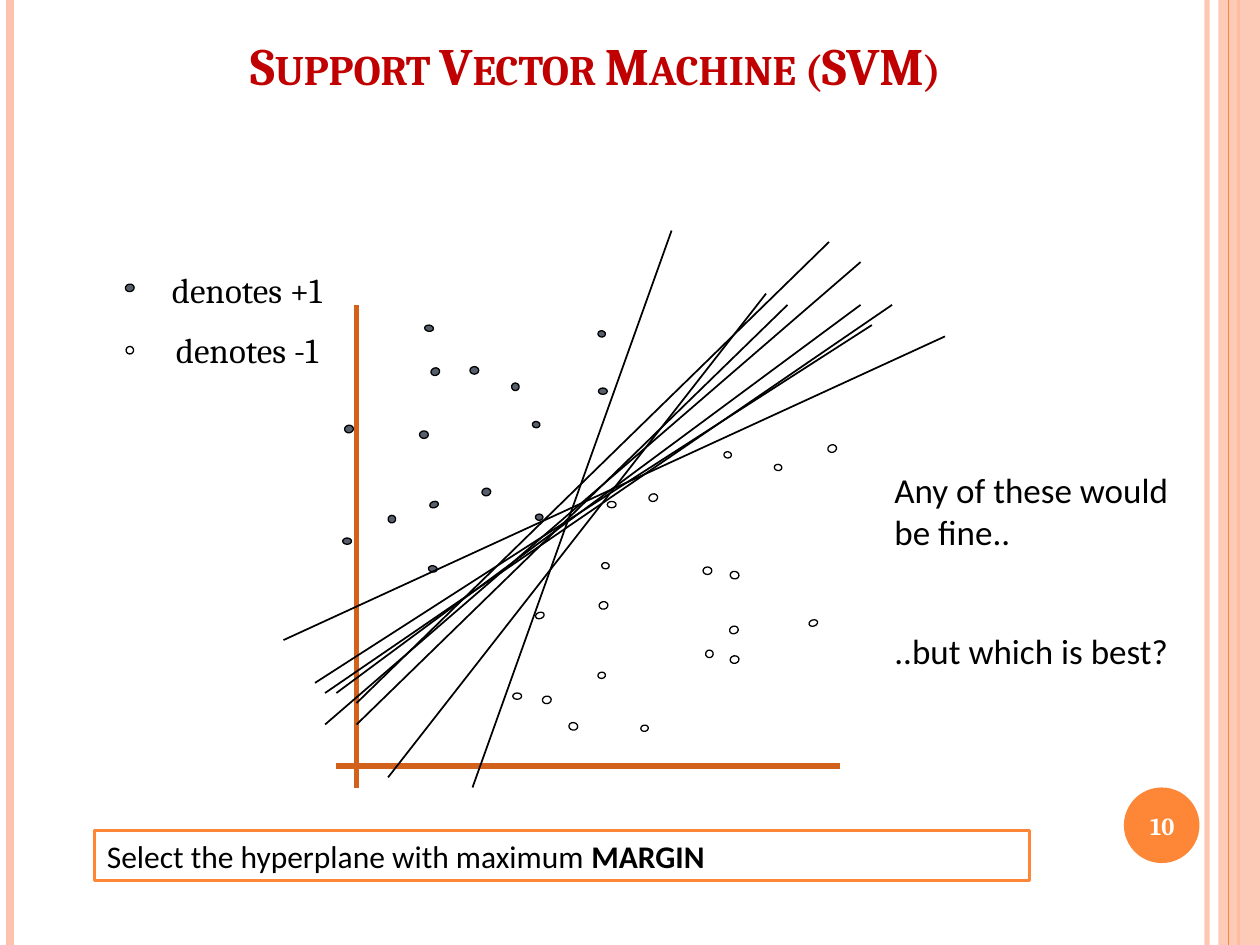
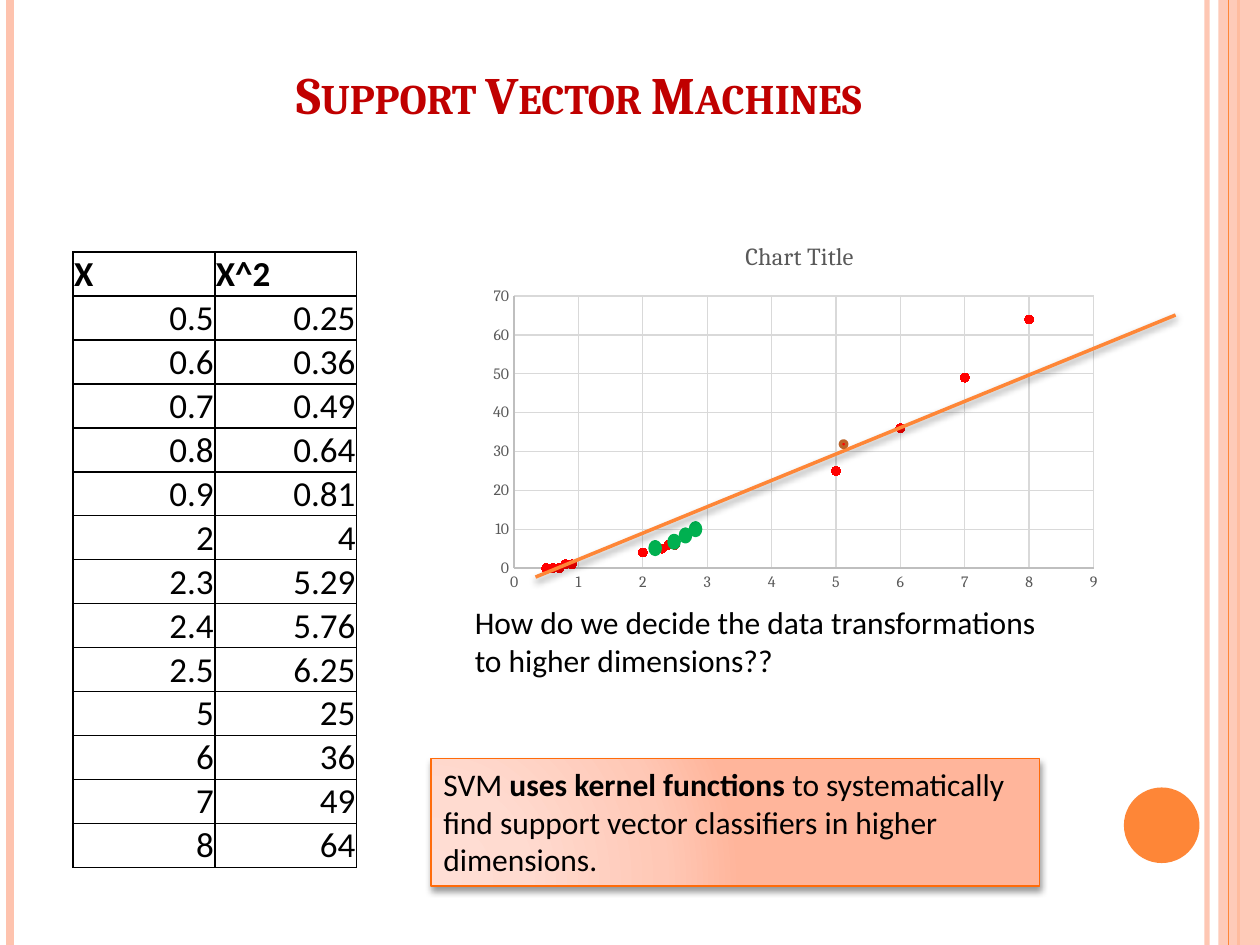
from dataclasses import dataclass, field
from typing import Any, NamedTuple, Optional

from lxml import etree
from pptx import Presentation, util as u
from pptx.chart.data import XyChartData
from pptx.dml.color import RGBColor
from pptx.enum import chart as charts, shapes, text
from pptx.oxml import parse_xml
from pptx.oxml.ns import nsdecls, qn

# Shared colours and fonts
ORANGE, PEACH, RUST, DEEP_RED = "FE8637", "FEC3AE", "D2611C", "C00000"
BLACK, WHITE, SLATE, GREEN, RED = "000000", "FFFFFF", "575F6D", "00B050", "FF0000"
GREY_TEXT, GREY_AXIS, GREY_GRID = "595959", "BFBFBF", "D9D9D9"
SERIF, SANS = "Cambria", "Calibri"
CENTER, RIGHT = text.PP_ALIGN.CENTER, text.PP_ALIGN.RIGHT
TITLE_FONT = {"name": SERIF, "size": 30, "bold": True, "color": DEEP_RED}
BODY_FONT = {"name": SANS, "size": 18, "color": BLACK}
NOTE_FONT = {**BODY_FONT, "size": 20}


class Box(NamedTuple):
    left: float
    top: float
    width: float
    height: float


@dataclass
class Line:
    start: tuple[float, float]
    end: tuple[float, float]
    color: str = BLACK
    width: float = 1
    opacity: Optional[int] = None
    shadow: bool = False


@dataclass
class Paragraph:
    runs: list[tuple[str, bool]]
    format: dict[str, Any] = field(default_factory=dict)


class DotGroup(NamedTuple):
    tilt: float
    size: tuple[float, float]
    positive: list[tuple[float, float]]
    negative: list[tuple[float, float]]


FRAME_BACK = [
    Line((9.58, 0), (9.58, 7.5), PEACH, 3, 93),
    Line((0.08, 0), (0.08, 7.5), PEACH, 4.5),
    Line((9.83, 0), (9.83, 7.5), ORANGE, 1.5),
]
FRAME_FRONT = Line((9.75, 0), (9.75, 7.5), ORANGE, 0.75)

# Points of the two classes and their legend marks, by tilt and size
DOT_GROUPS = [
    DotGroup(79.6, (0.06, 0.07), [(1, 2.25), (3.83, 3.87), (2.74, 3.37)],
             [(4.76, 4.77), (4.31, 5.52), (5.8, 5.2)]),
    DotGroup(79.6, (0.06, 0.06), [(3.08, 4.09), (4.06, 3.04)], []),
    DotGroup(79.6, (0.05, 0.06), [], [(5.09, 5.75), (4.75, 5.33)]),
    DotGroup(98.3, (0.05, 0.06), [(4.23, 3.34), (4.75, 2.62)],
             [(4.78, 4.46), (6.15, 3.68), (5.75, 3.58)]),
    DotGroup(98.3, (0.05, 0.07), [(3.41, 4.48), (3.38, 2.57)], []),
    DotGroup(98.3, (0.06, 0.07), [], [(4.52, 5.73), (5.8, 4.53)]),
    DotGroup(98.3, (0.06, 0.06), [], [(1, 2.75), (5.6, 5.16)]),
    DotGroup(0, (0.07, 0.05), [(2.72, 4.27), (4.75, 3.08)], [(4.07, 5.5), (4.82, 3.98)]),
    DotGroup(0, (0.07, 0.06), [(3.73, 2.91), (3.33, 3.42)], [(5.58, 4.5)]),
    DotGroup(0, (0.06, 0.05), [(4.25, 4.08)], []),
    DotGroup(341.4, (0.07, 0.06), [(3.42, 2.92)], [(6.57, 3.53), (5.79, 4.97), (5.15, 3.92)]),
    DotGroup(341.4, (0.07, 0.05), [(3.41, 3.98)], [(4.25, 4.86), (6.42, 4.92)]),
]
AXES = [Line((2.83, 2.42), (2.83, 6.25), RUST, 3),
        Line((2.67, 6.08), (6.67, 6.08), RUST, 3)]
HYPERPLANES = [
    Line((3.75, 6.25), (5.33, 1.83)), Line((2.5, 5.42), (6.92, 2.58)),
    Line((2.83, 5.75), (6.25, 2.42)), Line((2.25, 5.08), (7.5, 2.67)),
    Line((2.67, 5.5), (6.83, 2.42)), Line((2.58, 5.75), (6.83, 2.08)),
    Line((2.83, 5.58), (6.58, 1.92)), Line((3.08, 6.17), (6.08, 2.33)),
    Line((2.58, 5.5), (7.08, 2.42)),
]
SQUARES = [(x, round(x * x, 2))
           for x in (0.5, 0.6, 0.7, 0.8, 0.9, 2, 2.3, 2.4, 2.5, 5, 6, 7, 8)]
SUPPORT_VECTORS = [(5.16, 4.3), (5.31, 4.25), (5.4, 4.2), (5.48, 4.15)]


def rgb(color: str) -> RGBColor:
    return RGBColor.from_string(color)


def inches(values) -> list[u.Length]:
    return [u.Inches(value) for value in values]


def apply_font(font, values: dict[str, Any]) -> None:
    for name, value in values.items():
        if name == "color":
            font.color.rgb = rgb(value)
        else:
            setattr(font, name, u.Pt(value) if name == "size" else value)


def set_opacity(properties, percent: int) -> None:
    color = next(properties.iter(qn("a:srgbClr")))
    etree.SubElement(color, qn("a:alpha")).set("val", str(percent * 1000))


def set_shadow(properties, visible: bool) -> None:
    for old in properties.findall(qn("a:effectLst")):
        properties.remove(old)
    effects = etree.SubElement(properties, qn("a:effectLst"))
    if visible:
        effects.append(parse_xml(
            f'<a:outerShdw {nsdecls("a")} blurRad="{u.Pt(4)}" dist="{u.Pt(2)}" '
            'dir="5400000" rotWithShape="0"><a:srgbClr val="000000">'
            '<a:alpha val="40000"/></a:srgbClr></a:outerShdw>'))


def add_line(slide, line: Line) -> None:
    connector = slide.shapes.add_connector(
        shapes.MSO_CONNECTOR.STRAIGHT, *inches(line.start + line.end))
    connector.line.color.rgb = rgb(line.color)
    connector.line.width = u.Pt(line.width)
    properties = connector._element.spPr
    if line.opacity:
        set_opacity(properties, line.opacity)
    set_shadow(properties, line.shadow)


def add_shape(slide, kind, box: Box, fill: str, line: Optional[str] = None,
              width: float = 0.75, tilt: float = 0):
    shape = slide.shapes.add_shape(kind, *inches(box))
    shape.rotation = tilt
    shape.shadow.inherit = False
    shape.fill.solid()
    shape.fill.fore_color.rgb = rgb(fill)
    if line:
        shape.line.color.rgb = rgb(line)
        shape.line.width = u.Pt(width)
    else:
        shape.line.fill.background()
    return shape


def add_oval(slide, box: Box, fill: str, *outline, tilt: float = 0) -> None:
    add_shape(slide, shapes.MSO_SHAPE.OVAL, box, fill, *outline, tilt=tilt)


def write_text(frame, paragraphs: list[Paragraph], font: dict[str, Any]) -> None:
    frame.word_wrap = True
    frame.auto_size = text.MSO_AUTO_SIZE.SHAPE_TO_FIT_TEXT
    frame.vertical_anchor = text.MSO_ANCHOR.TOP
    for index, item in enumerate(paragraphs):
        paragraph = frame.add_paragraph() if index else frame.paragraphs[0]
        for name, value in {"alignment": text.PP_ALIGN.LEFT, **item.format}.items():
            setattr(paragraph, name, value)
        for words, bold in item.runs:
            run = paragraph.add_run()
            run.text = words
            apply_font(run.font, {**font, "bold": bold})


def add_text(slide, box: Box, paragraphs: list[Paragraph], font: dict[str, Any]):
    frame = slide.shapes.add_textbox(*inches(box)).text_frame
    write_text(frame, paragraphs, font)
    return frame


def add_title(slide, box: Box, title: str) -> None:
    frame = add_text(slide, box, [Paragraph([(title, True)], {"alignment": CENTER})],
                     TITLE_FONT)
    margins = {"left": 0, "top": 0.01, "right": 0, "bottom": 0}
    for side, value in margins.items():
        setattr(frame, f"margin_{side}", u.Inches(value))
    properties = frame.paragraphs[0].runs[0]._r.get_or_add_rPr()
    properties.set("cap", "small")
    properties.set("spc", "-5")


def add_frame_slide(presentation, number: str = ""):
    """Add a blank slide with the side bands and the number badge."""
    slide = presentation.slides.add_slide(presentation.slide_layouts[6])
    for line in FRAME_BACK:
        add_line(slide, line)
    band = add_shape(slide, shapes.MSO_SHAPE.RECTANGLE, Box(9.67, 0, 0.33, 7.5), PEACH)
    set_opacity(band._element.spPr, 87)
    add_line(slide, FRAME_FRONT)
    add_oval(slide, Box(8.92, 6.25, 0.6, 0.6), ORANGE)
    if number:
        frame = add_text(slide, Box(8.89, 6.27, 0.67, 0.57),
                         [Paragraph([(number, True)], {"alignment": CENTER})],
                         {"name": SERIF, "size": 14, "color": WHITE})
        frame.auto_size = text.MSO_AUTO_SIZE.NONE
        frame.vertical_anchor = text.MSO_ANCHOR.MIDDLE
    return slide


def add_squares_table(slide) -> None:
    rows = [("X", "X^2"), *SQUARES]
    table = slide.shapes.add_table(
        len(rows), 2, *inches(Box(0.58, 2, 2.25, 0.34 * len(rows)))).table
    table.horz_banding = table.first_row = False
    for row_index, row in enumerate(rows):
        for column, value in enumerate(row):
            cell = table.cell(row_index, column)
            cell.vertical_anchor = text.MSO_ANCHOR.BOTTOM
            for side in ("left", "top", "right", "bottom"):
                setattr(cell, f"margin_{side}", u.Pt(0 if side == "bottom" else 0.6))
            paragraph = cell.text_frame.paragraphs[0]
            paragraph.alignment = RIGHT if row_index else text.PP_ALIGN.LEFT
            run = paragraph.add_run()
            run.text = str(value)
            apply_font(run.font, {**NOTE_FONT, "bold": row_index == 0})
            properties = cell._tc.get_or_add_tcPr()
            for edge in "LRTB":
                properties.append(parse_xml(
                    f'<a:ln{edge} {nsdecls("a")} w="{u.Pt(1)}"><a:solidFill>'
                    f'<a:srgbClr val="{BLACK}"/></a:solidFill></a:ln{edge}>'))
            cell.fill.background()


def place_in_chart(parent, index: int, inner: bool, **fractions: float) -> None:
    """Give a chart part a fixed place, as fractions of the chart."""
    for old in parent.findall(qn("c:layout")):
        parent.remove(old)
    target = '<c:layoutTarget val="inner"/>' if inner else ""
    modes = "".join(f'<c:{axis}Mode val="edge"/>' for axis in "xy")
    values = "".join(f'<c:{name} val="{value}"/>' for name, value in fractions.items())
    parent.insert(index, parse_xml(
        f'<c:layout {nsdecls("c")}><c:manualLayout>{target}{modes}{values}'
        '</c:manualLayout></c:layout>'))


def add_squares_chart(slide) -> None:
    data = XyChartData()
    series_data = data.add_series("Series 1")
    for x, square in SQUARES:
        series_data.add_data_point(x, round(square))
    chart = slide.shapes.add_chart(charts.XL_CHART_TYPE.XY_SCATTER,
                                   *inches(Box(3.83, 1.75, 5, 3)), data).chart
    apply_font(chart.font, {"name": SERIF, "size": 10, "color": BLACK})
    chart.has_legend = False
    chart.plots[0].vary_by_categories = False

    # Chart title and plot area
    chart.has_title = True
    run = chart.chart_title.text_frame.paragraphs[0].add_run()
    run.text = "Chart Title"
    apply_font(run.font, {"name": SERIF, "size": 14, "bold": False, "color": GREY_TEXT})
    place_in_chart(chart.chart_title._element, 1, False, x=0.41, y=0.04)
    place_in_chart(chart._chartSpace.chart.plotArea, 0, True, x=0.05, y=0.2, w=0.92, h=0.72)

    # Axes
    for axis, maximum, step in ((chart.category_axis, 9, 1), (chart.value_axis, 70, 10)):
        settings = {"minimum_scale": 0, "maximum_scale": maximum, "major_unit": step,
                    "has_major_gridlines": True,
                    "major_tick_mark": charts.XL_TICK_MARK.NONE,
                    "minor_tick_mark": charts.XL_TICK_MARK.NONE}
        for name, value in settings.items():
            setattr(axis, name, value)
        apply_font(axis.tick_labels.font, {"name": SERIF, "size": 9, "color": GREY_TEXT})
        axis.tick_labels.number_format = "General"
        axis.tick_labels.number_format_is_linked = False
        for part, color in ((axis, GREY_AXIS), (axis.major_gridlines, GREY_GRID)):
            part.format.line.color.rgb = rgb(color)
            part.format.line.width = u.Pt(0.75)

    # Markers only
    series = chart.plots[0].series[0]
    series.format.line.fill.background()
    series.marker.style = charts.XL_MARKER_STYLE.CIRCLE
    series.marker.size = 5
    series.marker.format.fill.solid()
    series.marker.format.fill.fore_color.rgb = rgb(RED)
    series.marker.format.line.color.rgb = rgb(RED)


def set_glow_gradient(shape) -> None:
    stops = ((0, "FFDED5"), (30, "FFDBD0"), (75, "FFC8B6"), (100, "FFB59B"))
    stop_xml = "".join(f'<a:gs pos="{place * 1000}"><a:srgbClr val="{color}"/></a:gs>'
                       for place, color in stops)
    properties = shape._element.spPr
    properties.replace(properties.find(qn("a:solidFill")), parse_xml(
        f'<a:gradFill {nsdecls("a")} rotWithShape="1"><a:gsLst>{stop_xml}</a:gsLst>'
        '<a:path path="circle"><a:fillToRect l="5000" t="100000" r="120000" b="10000"/>'
        '</a:path></a:gradFill>'))


def build_hyperplane_slide(presentation) -> None:
    slide = add_frame_slide(presentation, "10")
    add_text(slide, Box(0.92, 2.08, 2.08, 0.93),
             [Paragraph([("denotes +1", False)], {"alignment": CENTER}),
              Paragraph([("denotes -1", False)],
                        {"alignment": CENTER, "space_before": u.Pt(10.5)})],
             {**NOTE_FONT, "name": SERIF})
    for line in AXES:
        add_line(slide, line)
    for group in DOT_GROUPS:
        for places, fill in ((group.positive, SLATE), (group.negative, WHITE)):
            for place in places:
                add_oval(slide, Box(*place, *group.size), fill, BLACK, tilt=group.tilt)
    for line in HYPERPLANES:
        add_line(slide, line)
    add_text(slide, Box(7, 3.67, 2.42, 1.78),
             [Paragraph([("Any of these would be fine..", False)]),
              Paragraph([("..but which is best?", False)], {"space_before": u.Pt(44)})],
             NOTE_FONT)
    add_title(slide, Box(0.63, 0.25, 8.17, 0.52), "Support Vector Machine (SVM)")
    answer = add_shape(slide, shapes.MSO_SHAPE.RECTANGLE, Box(0.75, 6.59, 7.42, 0.4),
                       WHITE, ORANGE, 2)
    write_text(answer.text_frame, [Paragraph([
        ("Select the hyperplane with maximum ", False), ("MARGIN", True)])], BODY_FONT)


def build_kernel_slide(presentation) -> None:
    slide = add_frame_slide(presentation)
    add_squares_table(slide)
    add_squares_chart(slide)
    for place in SUPPORT_VECTORS:
        add_oval(slide, Box(*place, 0.08, 0.1), GREEN, GREEN, 2)
    add_line(slide, Line((4.25, 4.58), (9.33, 2.5), ORANGE, 2, shadow=True))
    add_oval(slide, Box(6.67, 3.5, 0.05, 0.05), RED, "BC6329", 2)
    add_text(slide, Box(3.67, 4.74, 4.83, 0.71), [Paragraph([
        ("How do we decide the data transformations to higher dimensions??", False)])],
        BODY_FONT)
    add_title(slide, Box(0.5, 0.48, 8.17, 0.52), "Support Vector Machines")
    kernel = add_shape(slide, shapes.MSO_SHAPE.RECTANGLE, Box(3.42, 6.02, 4.83, 1.01),
                       PEACH, "FF6B0A", 1)
    set_glow_gradient(kernel)
    set_shadow(kernel._element.spPr, True)
    write_text(kernel.text_frame, [Paragraph([
        ("SVM ", False), ("uses kernel functions ", True),
        ("to systematically find support vector classifiers in higher dimensions.", False),
    ])], BODY_FONT)


presentation = Presentation()
presentation.slide_width, presentation.slide_height = inches((10, 7.5))
build_hyperplane_slide(presentation)
build_kernel_slide(presentation)
presentation.save("out.pptx")
